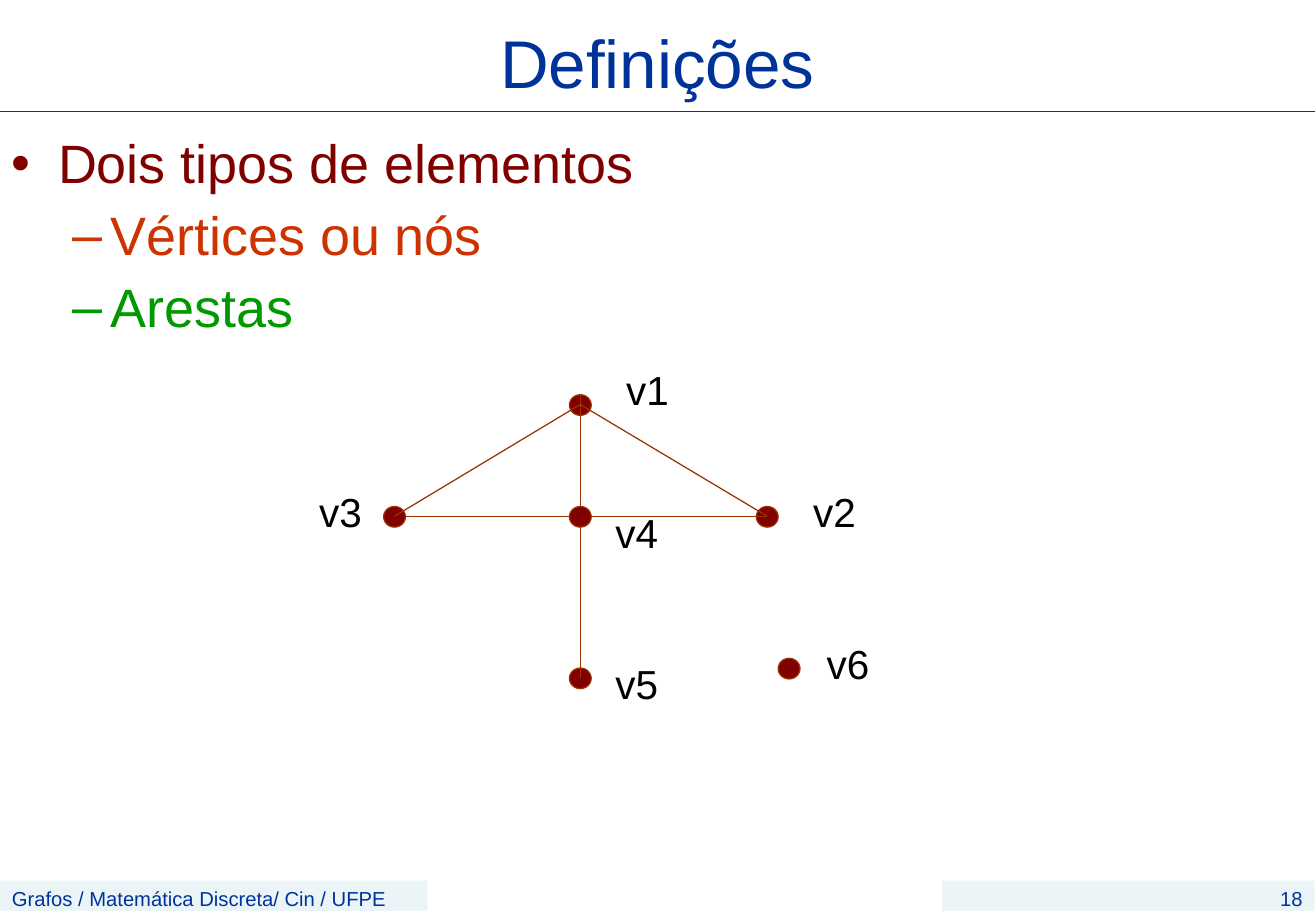
from lxml.etree import SubElement
from pptx import Presentation
from pptx.dml.color import RGBColor
from pptx.enum.shapes import MSO_CONNECTOR as CONN, MSO_SHAPE as SHAPE
from pptx.enum.text import MSO_ANCHOR as ANCHOR, MSO_AUTO_SIZE as AUTO, PP_ALIGN as ALIGN
from pptx.oxml.ns import qn
from pptx.util import Inches, Pt

COLORS = {
    "title": "003399", "bar": "D9ECF3", "text": "000000",
    "topic": "800000", "vertices": "CC3300", "edges": "009900",
    "node": "800000", "edge": "993300",
}


class GraphSlide:
    font = "Arial"
    line_width = Pt(0.75)
    node_size = (0.18, 0.17)

    def __init__(self, prs):
        self.s = prs.slides.add_slide(prs.slide_layouts[6])

    def color(self, name):
        return RGBColor.from_string(COLORS[name])

    def run(self, p, text, size, color):
        r = p.add_run()
        r.text = text
        r.font.name = self.font
        r.font.size = Pt(size)
        r.font.color.rgb = self.color(color)

    def text(self, box, text, size, color, align=ALIGN.LEFT, anchor=ANCHOR.TOP, wrap=True):
        sp = self.s.shapes.add_textbox(*map(Inches, box))
        tf = sp.text_frame
        tf.word_wrap = wrap
        tf.auto_size = AUTO.NONE if wrap else AUTO.SHAPE_TO_FIT_TEXT
        tf.vertical_anchor = anchor
        p = tf.paragraphs[0]
        p.alignment = align
        self.run(p, text, size, color)

    def bar(self, left, width, text, align):
        sp = self.s.shapes.add_shape(SHAPE.RECTANGLE, *map(Inches, (left, 7.25, width, 0.25)))
        sp.shadow.inherit = False
        sp.fill.solid()
        sp.fill.fore_color.rgb = self.color("bar")
        SubElement(sp.fill._xPr.find(".//" + qn("a:srgbClr")), qn("a:alpha"), val="50000")
        sp.line.fill.background()
        tf = sp.text_frame
        tf.word_wrap = True
        tf.vertical_anchor = ANCHOR.TOP
        p = tf.paragraphs[0]
        p.alignment = align
        self.run(p, text, 12, "title")

    def bullets(self, box, items):
        tf = self.s.shapes.add_textbox(*map(Inches, box)).text_frame
        tf.word_wrap = True
        for i, (text, level, color) in enumerate(items):
            p = tf.add_paragraph() if i else tf.paragraphs[0]
            margin, indent, mark = ((0.38, -0.38, "•"), (0.81, -0.31, "–"))[level]
            pPr = p._p.get_or_add_pPr()
            pPr.set("marL", str(Inches(margin)))
            pPr.set("indent", str(Inches(indent)))
            SubElement(SubElement(pPr, qn("a:buClr")), qn("a:srgbClr"), val=COLORS[color])
            SubElement(pPr, qn("a:buFont"), typeface=self.font)
            SubElement(pPr, qn("a:buChar"), char=mark)
            p.level = level
            p.line_spacing = 0.9
            p.space_before = Pt(8 if i else 0)
            self.run(p, text, 32, color)

    def line(self, start, end, color):
        c = self.s.shapes.add_connector(CONN.STRAIGHT, *map(Inches, (*start, *end)))
        c.line.color.rgb = self.color(color)
        c.line.width = self.line_width
        SubElement(c._element.spPr, qn("a:effectLst"))

    def node(self, left, top):
        sp = self.s.shapes.add_shape(SHAPE.OVAL, *map(Inches, (left, top, *self.node_size)))
        sp.shadow.inherit = False
        sp.fill.solid()
        sp.fill.fore_color.rgb = self.color("node")
        sp.line.color.rgb = self.color("edge")
        sp.line.width = self.line_width


def main():
    prs = Presentation()
    prs.slide_width, prs.slide_height = Inches(10.84), Inches(7.5)
    g = GraphSlide(prs)

    # Footer
    g.bar(0, 3.52, "Grafos / Matemática Discreta/ Cin / UFPE", ALIGN.LEFT)
    g.bar(7.76, 3.07, "18", ALIGN.RIGHT)

    # Title and topics
    g.bullets((0, 1.08, 10.83, 1.92), [
        ("Dois tipos de elementos", 0, "topic"),
        ("Vértices ou nós", 1, "vertices"),
        ("Arestas", 1, "edges"),
    ])
    g.text((0.81, 0.17, 9.21, 0.67), "Definições", 40, "title", ALIGN.CENTER, ANCHOR.MIDDLE)
    g.line((0, 0.92), (10.83, 0.92), "title")

    # Graph: node corner and label corner; v4 lies above the edges
    vertices = {
        "v1": ((4.69, 3.25), (5.06, 2.96)),
        "v2": ((6.23, 4.17), (6.6, 3.96)),
        "v3": ((3.16, 4.17), (2.53, 3.96)),
        "v5": ((4.69, 5.5), (4.97, 5.38)),
        "v6": ((6.41, 5.42), (6.71, 5.21)),
        "v4": ((4.69, 4.17), (4.97, 4.13)),
    }
    for name, (corner, _) in vertices.items():
        if name != "v4":
            g.node(*corner)
    top, left, right = (4.78, 3.33), (3.25, 4.25), (6.32, 4.25)
    for start, end in [((3.34, 4.25), right), ((4.78, 5.58), (4.78, 3.25)),
                       (left, top), (top, right)]:
        g.line(start, end, "edge")
    for name, (_, corner) in vertices.items():
        g.text((*corner, 0.55, 0.5), name, 24, "text", wrap=False)
    g.node(*vertices["v4"][0])

    prs.save("out.pptx")


if __name__ == "__main__":
    main()
